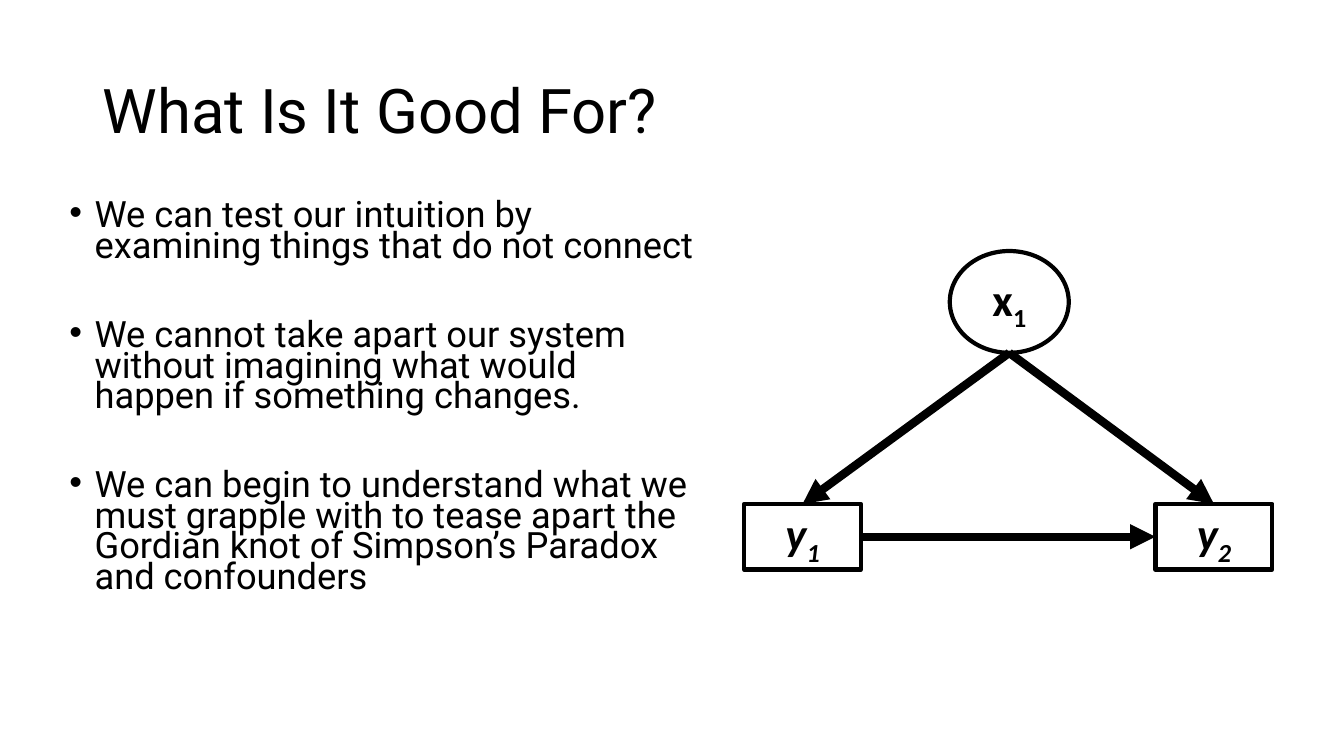
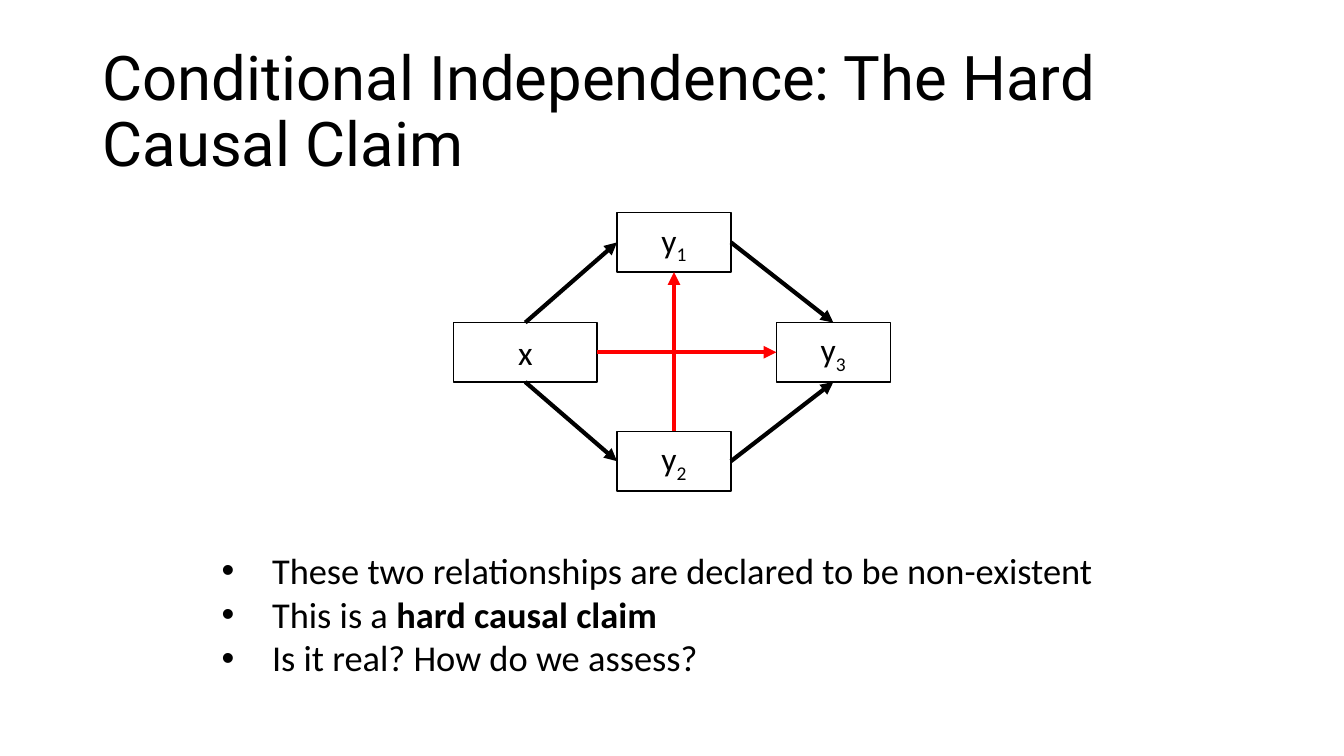
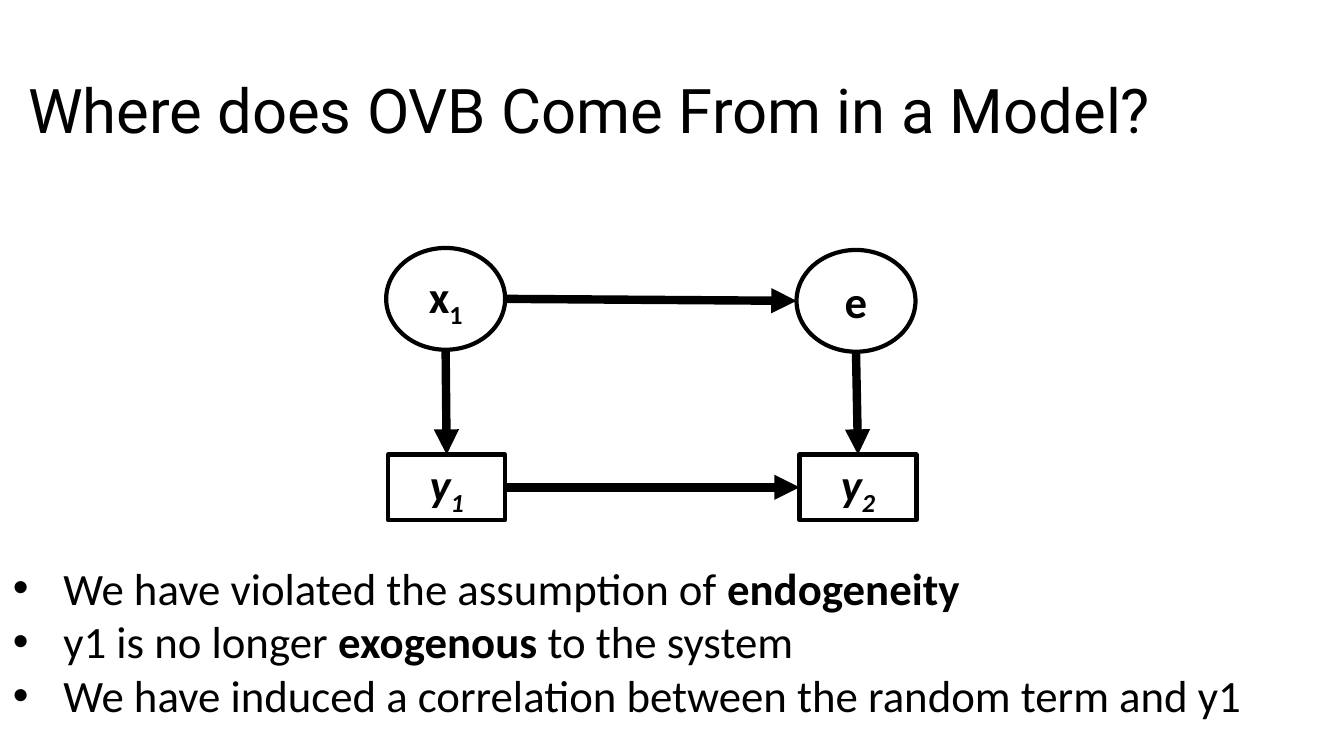
from lxml import etree
from pptx import Presentation
from pptx.dml.color import RGBColor
from pptx.enum.shapes import MSO_CONNECTOR, MSO_SHAPE
from pptx.enum.text import MSO_ANCHOR, PP_ALIGN
from pptx.oxml.ns import qn
from pptx.util import Emu, Pt

STRAIGHT = MSO_CONNECTOR.STRAIGHT
RECTANGLE = MSO_SHAPE.RECTANGLE
ELLIPSE = MSO_SHAPE.OVAL
TOP, MIDDLE = MSO_ANCHOR.TOP, MSO_ANCHOR.MIDDLE
LEFT, CENTER = PP_ALIGN.LEFT, PP_ALIGN.CENTER

PX = 9144  # 100 px to the inch
BLACK, WHITE, RED = "000000", "FFFFFF", "FF0000"
TITLE_FONT, BODY_FONT = "Roboto", "Calibri"
TITLE_BOX = (92, 40, 1150, 145)

# Connection sites of a rectangle; an ellipse has twice as many
SITES = {"top": 0, "left": 1, "bottom": 2, "right": 3}

# Node styles: preset shape, width, height, fill, outline, text size, bold, italic
LATENT = (ELLIPSE, 118, 101, WHITE, 3, 32, True, False)
OBSERVED = (RECTANGLE, 116, 65, None, 3, 32, True, True)
PLAIN = (RECTANGLE, 113, 59, WHITE, 1, 24, False, False)
PLAIN_WIDE = (RECTANGLE, 142, 59, WHITE, 1, 24, False, False)


def px(*lengths):
    return [Emu(length * PX) for length in lengths]


def color(hex_string):
    return RGBColor.from_string(hex_string)


def write_text(shape, paragraphs, size, font=BODY_FONT, bold=False, italic=False,
               align=LEFT, anchor=TOP, line_spacing=None, gap=0, bullet_indent=0):
    """Each paragraph is a list of (text, style); style is "", "bold" or "sub"."""
    frame = shape.text_frame
    frame.word_wrap = True
    frame.vertical_anchor = anchor
    for index, runs in enumerate(paragraphs):
        paragraph = frame.add_paragraph() if index else frame.paragraphs[0]
        if bullet_indent:
            properties = paragraph._p.get_or_add_pPr()
            properties.set("marL", str(bullet_indent * PX))
            properties.set("indent", str(-bullet_indent * PX))
            etree.SubElement(properties, qn("a:buFont"), typeface="Arial")
            etree.SubElement(properties, qn("a:buChar"), char="•")
        paragraph.alignment = align
        if line_spacing:
            paragraph.line_spacing = line_spacing
        if index and gap:
            paragraph.space_before = Pt(gap)
        for text, style in runs:
            run = paragraph.add_run()
            run.text = text
            run.font.name = font
            run.font.size = Pt(size)
            run.font.bold = bold or style == "bold"
            run.font.italic = italic
            run.font.color.rgb = color(BLACK)
            if style == "sub":
                run._r.get_or_add_rPr().set("baseline", "-25000")


def add_title(slide, text, box=TITLE_BOX):
    title = slide.shapes.add_textbox(*px(*box))
    write_text(title, [[(text, "")]], 44, font=TITLE_FONT, anchor=MIDDLE, line_spacing=0.9)


def add_bullets(slide, box, paragraphs, size, indent=50, **text_format):
    body = slide.shapes.add_textbox(*px(*box))
    write_text(body, paragraphs, size, bullet_indent=indent, **text_format)


def add_node(slide, left, top, label, style):
    preset, width, height, fill, outline, size, bold, italic = style
    node = slide.shapes.add_shape(preset, *px(left, top, width, height))
    node.shadow.inherit = False
    if fill:
        node.fill.solid()
        node.fill.fore_color.rgb = color(fill)
    else:
        node.fill.background()
    node.line.color.rgb = color(BLACK)
    node.line.width = Pt(outline)
    # The first letter is the variable, what follows is its index
    runs = [(label[0], "")]
    if label[1:]:
        runs.append((label[1:], "sub"))
    write_text(node, [runs], size, bold=bold, italic=italic, align=CENTER, anchor=MIDDLE)
    return node


def add_arrow(slide, source, source_side, target, target_side, width, line_color=BLACK):
    arrow = slide.shapes.add_connector(STRAIGHT, 0, 0, 0, 0)
    arrow.begin_connect(source, SITES[source_side])
    arrow.end_connect(target, SITES[target_side])
    for node, side, tag in ((source, source_side, "a:stCxn"), (target, target_side, "a:endCxn")):
        if node.auto_shape_type == ELLIPSE:
            for site in arrow._element.iter(qn(tag)):
                site.set("idx", str(2 * SITES[side]))
    arrow.line.color.rgb = color(line_color)
    arrow.line.width = Pt(width)
    etree.SubElement(arrow.line._get_or_add_ln(), qn("a:tailEnd"), type="triangle")
    etree.SubElement(arrow._element.spPr, qn("a:effectLst"))


def add_path_diagram(slide, left, top, nodes, arrows, width):
    """Nodes are placed from the corner given; arrows join them by name."""
    placed = {label: add_node(slide, left + x, top + y, label, style)
              for label, x, y, style in nodes}
    for source, source_side, target, target_side, *line_color in arrows:
        add_arrow(slide, placed[source], source_side, placed[target], target_side,
                  width, *line_color)


def build_purpose_slide(slide):
    add_title(slide, "What Is It Good For?")
    add_bullets(slide, (59, 197, 646, 476), [
        [("We can test our intuition by examining things that do not connect", "")],
        [("We cannot take apart our system without imagining what would happen "
          "if something changes.", "")],
        [("We can begin to understand what we must grapple with to tease apart the "
          "Gordian knot of Simpson’s Paradox and confounders", "")],
    ], 25.9, indent=25, font=TITLE_FONT, line_spacing=0.7, gap=42)
    add_path_diagram(slide, 738, 249, [
        ("x1", 204, 0, LATENT),
        ("y1", 0, 251, OBSERVED),
        ("y2", 408, 251, OBSERVED),
    ], [
        ("x1", "bottom", "y1", "top"),
        ("x1", "bottom", "y2", "top"),
        ("y1", "right", "y2", "left"),
    ], 6)


def build_independence_slide(slide):
    add_title(slide, "Conditional Independence: The Hard Causal Claim")
    add_path_diagram(slide, 450, 211, [
        ("x", 0, 109, PLAIN_WIDE),
        ("y1", 162, 0, PLAIN),
        ("y2", 162, 217, PLAIN),
        ("y3", 320, 109, PLAIN),
    ], [
        ("x", "top", "y1", "left"),
        ("x", "bottom", "y2", "left"),
        ("y1", "right", "y3", "top"),
        ("y2", "right", "y3", "bottom"),
        ("y2", "top", "y1", "bottom", RED),
        ("x", "right", "y3", "left", RED),
    ], 3)
    add_bullets(slide, (210, 539, 920, 141), [
        [("These two relationships are declared to be non-existent", "")],
        [("This is a ", ""), ("hard causal claim", "bold")],
        [("Is it real? How do we assess?", "")],
    ], 26)


def build_omitted_variable_slide(slide):
    add_title(slide, "Where does OVB Come From in a Model?", (18, 40, 1315, 145))
    add_path_diagram(slide, 383, 246, [
        ("x1", 0, 0, LATENT),
        ("e", 407, 2, LATENT),
        ("y1", 2, 205, OBSERVED),
        ("y2", 410, 205, OBSERVED),
    ], [
        ("x1", "bottom", "y1", "top"),
        ("e", "bottom", "y2", "top"),
        ("x1", "right", "e", "left"),
        ("y1", "right", "y2", "left"),
    ], 6)
    add_bullets(slide, (3, 551, 1330, 172), [
        [("We have violated the assumption of ", ""), ("endogeneity", "bold")],
        [("y1 is no longer ", ""), ("exogenous", "bold"), (" to the system", "")],
        [("We have induced a correlation between the random term and y1", "")],
    ], 32)


def main():
    presentation = Presentation()
    presentation.slide_width, presentation.slide_height = px(1333, 750)
    blank = presentation.slide_layouts[6]
    for build in (build_purpose_slide, build_independence_slide, build_omitted_variable_slide):
        build(presentation.slides.add_slide(blank))
    presentation.save("out.pptx")


if __name__ == "__main__":
    main()
